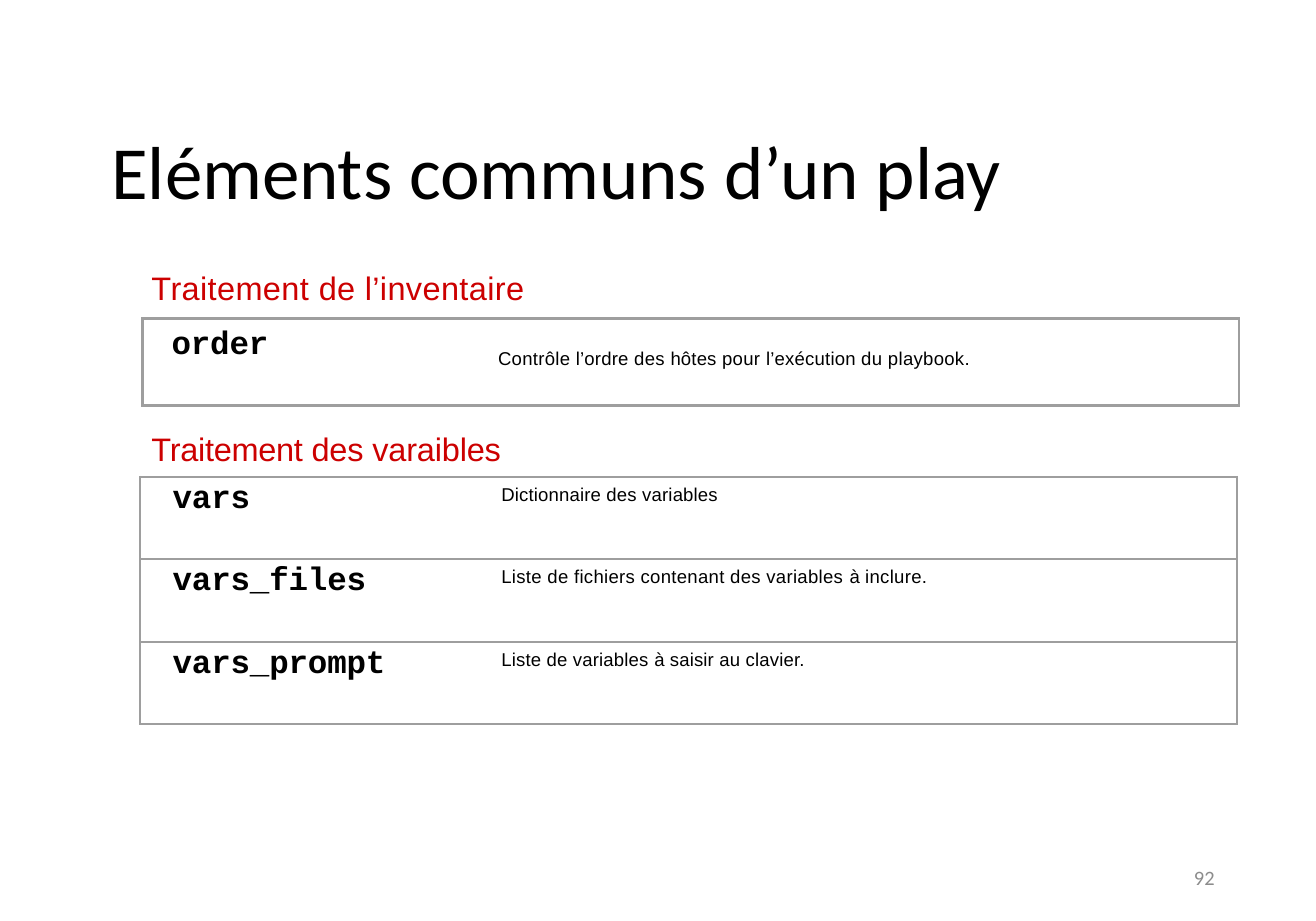
from dataclasses import dataclass

from lxml import etree
from pptx import Presentation
from pptx.dml.color import RGBColor
from pptx.enum import text
from pptx.oxml import ns
from pptx.util import Cm, Inches, Pt


@dataclass(frozen=True)
class Theme:
    black: str = "000000"
    red: str = "CC0000"
    frame: str = "9E9E9E"
    number: str = "8C8C8C"
    sans: str = "Arial"
    mono: str = "Courier New"
    title_font: str = "Calibri"
    title_size: float = 48.5
    heading_size: float = 21
    body_size: float = 12
    number_size: float = 13.2
    line_width: float = 1.5


def write(frame, spans, font, size, color, bold=False, align=text.PP_ALIGN.LEFT):
    """Fill a text frame with (words, letter spacing in points) spans."""
    para = frame.paragraphs[0]
    para.alignment = align
    for words, spacing in spans:
        span = para.add_run()
        span.text = words
        span.font.name = font
        span.font.size = Pt(size)
        span.font.bold = bold
        span.font.color.rgb = RGBColor.from_string(color)
        span._r.get_or_add_rPr().set("spc", str(round(spacing * 100)))


class SlideBuilder:
    def __init__(self, slide, theme):
        self.slide = slide
        self.theme = theme

    def label(self, left, top, width, height, spans, font, size, color,
              inset=(0, 0.01, 0, 0), anchor=text.MSO_ANCHOR.TOP, **style):
        box = self.slide.shapes.add_textbox(*map(Inches, (left, top, width, height)))
        frame = box.text_frame
        frame.word_wrap = True
        frame.vertical_anchor = anchor
        (frame.margin_left, frame.margin_top,
         frame.margin_right, frame.margin_bottom) = map(Inches, inset)
        write(frame, spans, font, size, color, **style)

    def heading(self, top, width, spans):
        self.label(1.36, top, width, 0.38, spans, self.theme.sans,
                   self.theme.heading_size, self.theme.red)

    def outline(self, left, top, right, bottom, overlap):
        """Draw four separate sides that overlap at the corners."""
        sides = [((x, top - overlap), (x, bottom + overlap)) for x in (left, right)]
        sides += [((left - overlap, y), (right + overlap, y)) for y in (top, bottom)]
        builder = None
        for start, end in sides:
            start, end = tuple(map(Inches, start)), tuple(map(Inches, end))
            if builder is None:
                builder = self.slide.shapes.build_freeform(*start)
            else:
                builder.move_to(*start)
            builder.add_line_segments([end], close=False)
        box = builder.convert_to_shape()
        box.shadow.inherit = False
        box.fill.background()
        box.line.color.rgb = RGBColor.from_string(self.theme.frame)
        box.line.width = Pt(self.theme.line_width)

    def borders(self, cell, hidden):
        """Draw the cell's sides, leaving the hidden one blank."""
        properties = cell._tc.get_or_add_tcPr()
        for index, side in enumerate(("lnL", "lnR", "lnT", "lnB")):
            line = etree.Element(ns.qn(f"a:{side}"), w=str(Pt(self.theme.line_width)))
            if side == hidden:
                etree.SubElement(line, ns.qn("a:noFill"))
            else:
                fill = etree.SubElement(line, ns.qn("a:solidFill"))
                etree.SubElement(fill, ns.qn("a:srgbClr"), val=self.theme.frame)
            properties.insert(index, line)

    def keyword_table(self, left, top, widths, row_height, rows):
        theme = self.theme
        table = self.slide.shapes.add_table(
            len(rows), len(widths), Inches(left), Inches(top),
            Inches(sum(widths)), Inches(row_height * len(rows))).table
        table.first_row = table.horz_banding = False
        for column, width in zip(table.columns, widths):
            column.width = Inches(width)
        columns = (
            (0.29, 0.04, "lnR", theme.mono, theme.heading_size, True),
            (0.51, 0.07, "lnL", theme.sans, theme.body_size, False),
        )
        for r, row in enumerate(rows):
            table.rows[r].height = Inches(row_height)
            for c, (indent, inset, hidden, font, size, bold) in enumerate(columns):
                cell = table.cell(r, c)
                cell.fill.background()
                cell.margin_left, cell.margin_top = Inches(indent), Inches(inset)
                cell.margin_right = cell.margin_bottom = 0
                self.borders(cell, hidden)
                write(cell.text_frame, row[c], font, size, theme.black, bold=bold)


def main():
    deck = Presentation()
    deck.slide_width = Cm(30)
    deck.slide_height = Cm(21)
    theme = Theme()
    page = SlideBuilder(deck.slides.add_slide(deck.slide_layouts[6]), theme)

    page.heading(2.4, 3.6, [("Traitement ", 0.25), ("de ", 0.15), ("l’inventaire", 0.25)])
    page.outline(1.28, 2.86, 11.12, 3.64, 0.01)
    page.label(1.54, 2.88, 1.2, 0.38, [("order", -0.1)],
               theme.mono, theme.heading_size, theme.black, bold=True)
    page.label(4.47, 3.09, 4.5, 0.22,
               [("Contrôle", 0.2), (" l’ordre ", 0.1), ("des ", 0.2), ("hôtes ", 0.1),
                ("pour ", 0.2), ("l’exécution du ", 0.15), ("playbook.", 0.2)],
               theme.sans, theme.body_size, theme.black, inset=(0, 0.02, 0, 0))

    page.heading(3.84, 3.4, [("Traitement ", -0.2), ("des varaibles", -0.1)])
    page.keyword_table(1.26, 4.28, (2.73, 7.11), 0.74, [
        ([("vars", -0.1)], [("Dictionnaire des variables", 0.1)]),
        ([("vars_files", -0.1)],
         [("Liste de fichiers contenant des variables ", 0.2), ("à ", 0), ("inclure.", 0.2)]),
        ([("vars_prompt", -0.1)],
         [("Liste de variables ", 0.1), ("à ", 0), ("saisir au clavier.", 0.1)]),
    ])

    page.label(1, 1.1, 9.16, 0.83, [("Eléments communs d’un play", -0.05)],
               theme.title_font, theme.title_size, theme.black,
               anchor=text.MSO_ANCHOR.MIDDLE)
    page.label(8.34, 7.66, 2.66, 0.44, [("92", 0)], theme.title_font,
               theme.number_size, theme.number, inset=(0.1, 0.05, 0.1, 0.05),
               anchor=text.MSO_ANCHOR.MIDDLE, align=text.PP_ALIGN.RIGHT)

    deck.save("out.pptx")


if __name__ == "__main__":
    main()
